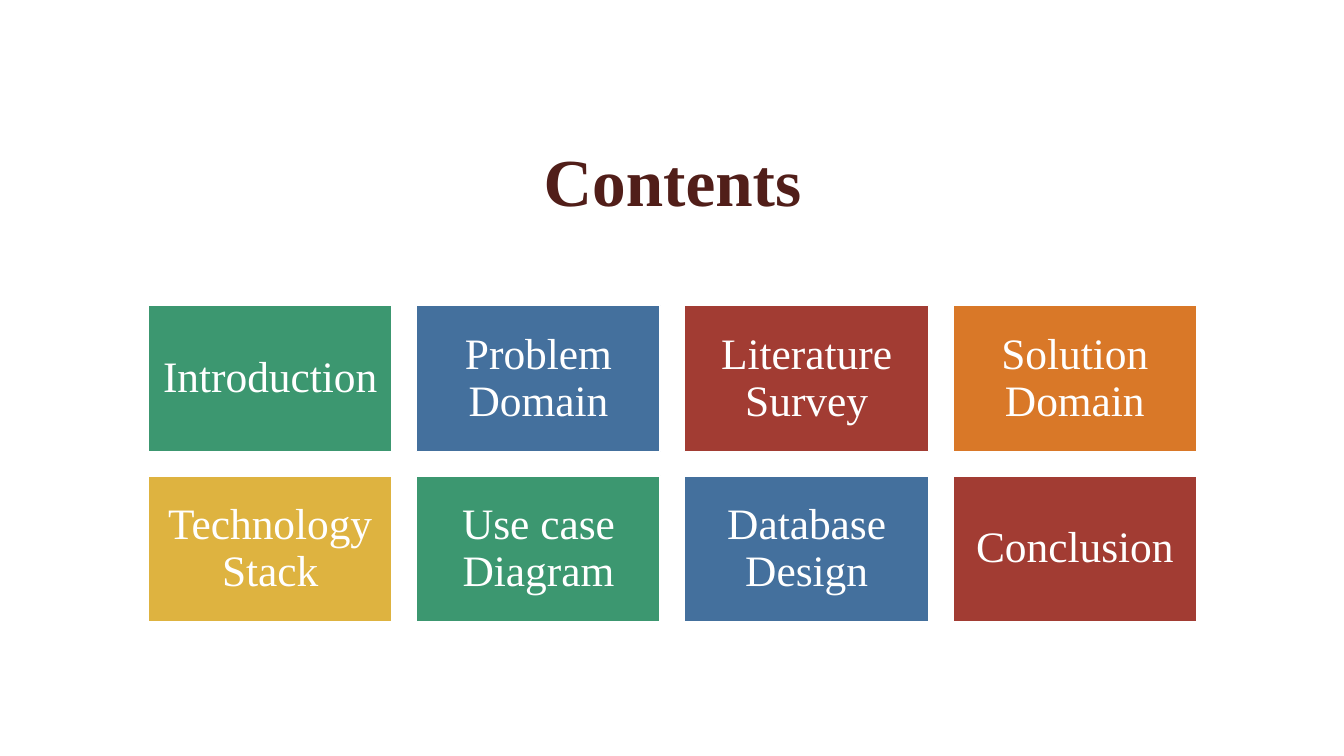
import pptx
import pptx.dml.color
import pptx.enum.shapes
import pptx.enum.text
import pptx.util

Inches = pptx.util.Inches
FONT = "Times New Roman"
HUES = {
    "white": "FFFFFF",
    "maroon": "511E19",
    "green": "3C9770",
    "blue": "44709D",
    "red": "A23C33",
    "orange": "D97828",
    "gold": "DEB340",
}
TOPICS = [
    ("Introduction", "green"),
    ("Problem Domain", "blue"),
    ("Literature Survey", "red"),
    ("Solution Domain", "orange"),
    ("Technology Stack", "gold"),
    ("Use case Diagram", "green"),
    ("Database Design", "blue"),
    ("Conclusion", "red"),
]


def tint(name):
    return pptx.dml.color.RGBColor.from_string(HUES[name])


def write(shape, text, size, hue, bold=False, inset=0.1, spacing=1.0):
    frame = shape.text_frame
    frame.word_wrap = True
    frame.auto_size = pptx.enum.text.MSO_AUTO_SIZE.NONE
    frame.vertical_anchor = pptx.enum.text.MSO_ANCHOR.MIDDLE
    frame.margin_left = frame.margin_right = Inches(inset)
    frame.margin_top = frame.margin_bottom = Inches(inset)
    para = frame.paragraphs[0]
    para.alignment = pptx.enum.text.PP_ALIGN.CENTER
    para.line_spacing = spacing
    run = para.add_run()
    run.text = text
    run.font.name = FONT
    run.font.size = pptx.util.Pt(size)
    run.font.bold = bold
    run.font.color.rgb = tint(hue)


def add_title(slide, text, left, top, width, height):
    title = slide.shapes.title
    title.left, title.top = Inches(left), Inches(top)
    title.width, title.height = Inches(width), Inches(height)
    write(title, text, size=48, hue="maroon", bold=True)


def add_tile(slide, text, hue, left, top, width, height):
    tile = slide.shapes.add_shape(
        pptx.enum.shapes.MSO_SHAPE.RECTANGLE,
        Inches(left), Inches(top), Inches(width), Inches(height),
    )
    tile.shadow.inherit = False
    tile.fill.solid()
    tile.fill.fore_color.rgb = tint(hue)
    tile.line.color.rgb = tint("white")
    tile.line.width = pptx.util.Pt(1.25)
    write(tile, text, size=31, hue="white", inset=0.13, spacing=0.9)


def add_grid(slide, topics, left, top, width, height, cols=4, gap=0.24):
    rows = -(-len(topics) // cols)
    wide = (width - gap * (cols - 1)) / cols
    high = (height - gap * (rows - 1)) / rows
    for index, (text, hue) in enumerate(topics):
        row, col = divmod(index, cols)
        add_tile(slide, text, hue, left + col * (wide + gap),
                 top + row * (high + gap), wide, high)


def main():
    deck = pptx.Presentation()
    deck.slide_width, deck.slide_height = Inches(13.33), Inches(7.5)
    slide = deck.slides.add_slide(deck.slide_layouts.get_by_name("Title Only"))
    slide.background.fill.solid()
    slide.background.fill.fore_color.rgb = tint("white")
    add_title(slide, "Contents", 1.42, 1.07, 10.5, 1.43)
    add_grid(slide, TOPICS, 1.47, 3.03, 10.4, 3.14)
    deck.save("out.pptx")


if __name__ == "__main__":
    main()
